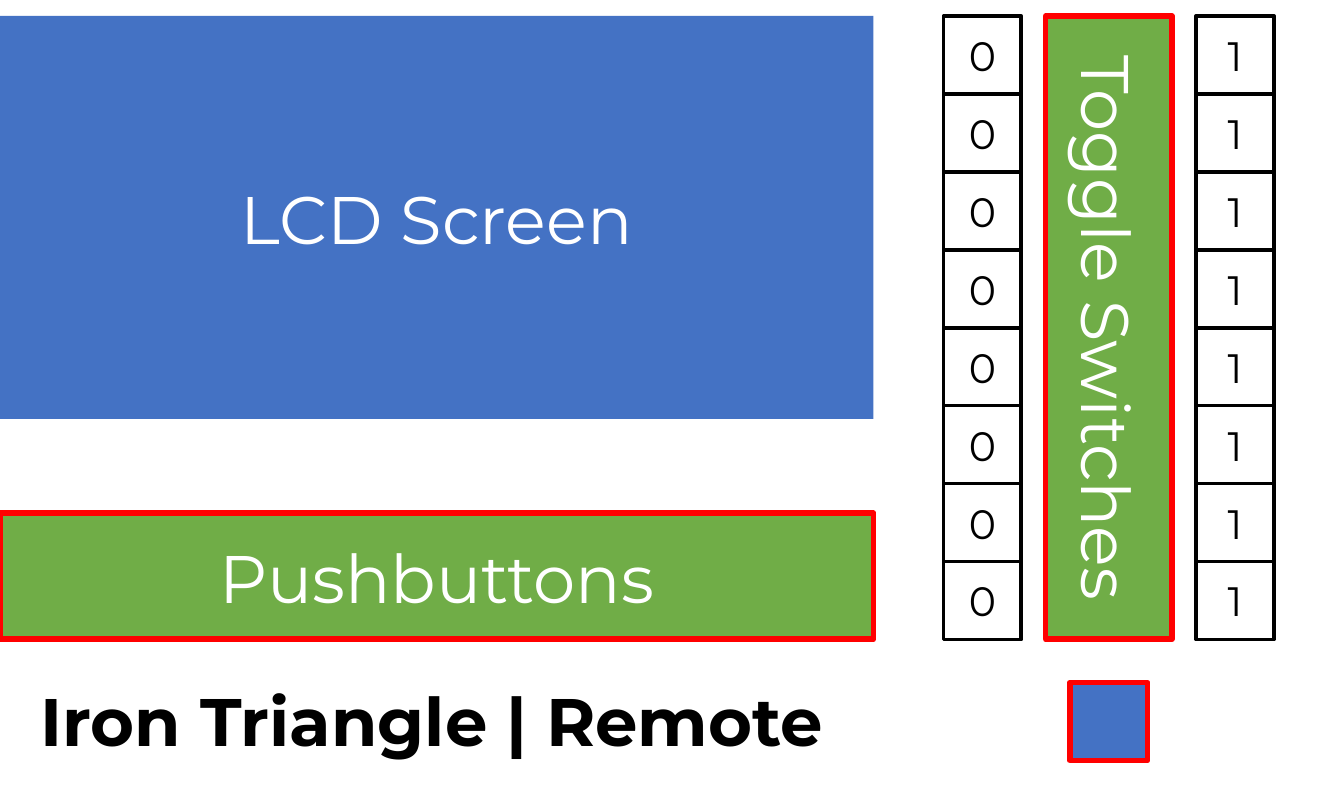
from collections import namedtuple

from pptx import Presentation
from pptx.dml.color import RGBColor
from pptx.enum.shapes import MSO_SHAPE as Shape
from pptx.enum.text import MSO_ANCHOR as Anchor, MSO_AUTO_SIZE as AutoSize, PP_ALIGN as Align
from pptx.util import Inches, Pt

Box = namedtuple("Box", "left top width height")

COLUMNS, ROWS = 500, 300
UNIT = Inches(0.01)
FONT = "Montserrat"
SWITCH_COUNT = 8
COLORS = {
    "screen": "4472C4",
    "control": "70AD47",
    "outline": "FF0000",
    "ink": "000000",
    "paper": "FFFFFF",
}


def color(name):
    return RGBColor.from_string(COLORS[name])


def place(shape, box):
    shape.left, shape.top, shape.width, shape.height = (round(n * UNIT) for n in box)


def write(shape, text, size, ink, align=Align.CENTER, bold=False):
    frame = shape.text_frame
    frame.auto_size = AutoSize.NONE
    frame.vertical_anchor = Anchor.MIDDLE
    frame.margin_left = frame.margin_right = 0
    frame.margin_top = frame.margin_bottom = 0
    para = frame.paragraphs[0]
    para.alignment = align
    span = para.add_run()
    span.text = text
    span.font.name = FONT
    span.font.size = Pt(size)
    span.font.bold = bold
    span.font.color.rgb = color(ink)


def add_panel(page, box, fill=None, line=None, weight=1.5, text="", size=18, ink="paper"):
    panel = page.shapes.add_shape(Shape.RECTANGLE, 0, 0, 0, 0)
    place(panel, box)
    panel.shadow.inherit = False
    if fill:
        panel.fill.solid()
        panel.fill.fore_color.rgb = color(fill)
    else:
        panel.fill.background()
    if line:
        panel.line.color.rgb = color(line)
        panel.line.width = Pt(weight)
    else:
        panel.line.fill.background()
    if text:
        write(panel, text, size, ink)
    return panel


def add_display(page, box):
    add_panel(page, box._replace(height=150), "screen", text="LCD Screen")
    buttons = Box(box.left, box.top + box.height - 47, box.width, 47)
    add_panel(page, buttons, "control", "outline", text="Pushbuttons")


def add_switches(page, box):
    cell = box.height / SWITCH_COUNT
    center_x = box.left + box.width / 2
    center_y = box.top + box.height / 2
    bar = Box(center_x - box.height / 2, center_y - 23.5, box.height, 47)
    add_panel(page, bar, "control", "outline", text="Toggle Switches").rotation = 90
    for digit, left in (("1", box.left + box.width - cell), ("0", box.left)):
        for row in range(SWITCH_COUNT):
            add_panel(page, Box(left, box.top + row * cell, cell, cell),
                      line="ink", weight=1, text=digit, size=11, ink="ink")


def add_footer(page, box):
    title = page.shapes.title
    place(title, Box(box.left + 15, box.top, 305, box.height))
    title.text_frame.word_wrap = False
    write(title, "Iron Triangle | Remote", 18, "ink", Align.LEFT, bold=True)
    add_panel(page, Box(box.left + 398, box.top + 6, 29, 29), "screen", "outline")


def main():
    deck = Presentation()
    deck.slide_width, deck.slide_height = COLUMNS * UNIT, ROWS * UNIT
    page = deck.slides.add_slide(deck.slide_layouts[5])
    add_display(page, Box(0, 6, 325, 232))
    add_switches(page, Box(351, 6, 123, 232))
    add_footer(page, Box(0, 248, COLUMNS, 40))
    deck.save("out.pptx")


if __name__ == "__main__":
    main()
